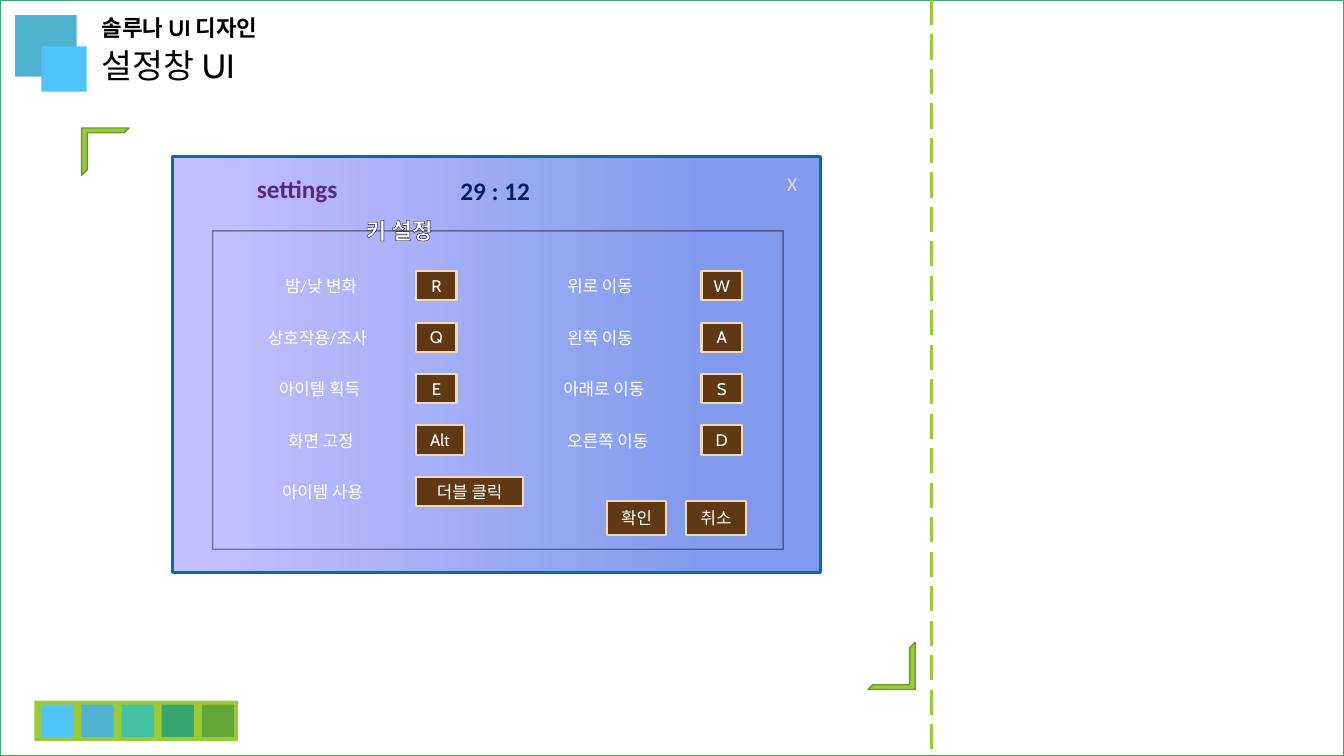
from dataclasses import dataclass
from lxml.etree import SubElement, fromstring
from pptx import Presentation
from pptx.dml.color import RGBColor
from pptx.enum.dml import MSO_LINE
from pptx.enum.shapes import MSO_CONNECTOR, MSO_SHAPE
from pptx.enum.text import MSO_ANCHOR, MSO_AUTO_SIZE, PP_ALIGN
from pptx.oxml.ns import nsdecls, qn
from pptx.util import Inches, Pt


@dataclass(frozen=True)
class Theme:
    """Colours, fonts and type sizes of the slide."""
    ink: str = "000000"
    paper: str = "FFFFFF"
    lime: str = "99CB38"
    lime_edge: str = "719629"
    sky: str = "51C3F9"
    lagoon: str = "4EB3CF"
    mint: str = "44C1A3"
    green: str = "37A76F"
    leaf: str = "63A537"
    panel_start: str = "BCB7FF"
    panel_end: str = "708DEA"
    panel_edge: str = "056EA0"
    purple: str = "5A2781"
    navy: str = "002060"
    close: str = "D9D9D9"
    key: str = "603813"
    key_edge: str = "EEDBB7"
    heading_font: str = "Cabin"
    body_font: str = "Calibri"
    title: int = 24
    panel_title: int = 18
    subtitle: int = 16
    close_size: int = 14
    body: int = 12


@dataclass(frozen=True)
class Box:
    """A region measured in grid cells."""
    left: float
    top: float
    width: float
    height: float

    def inner(self, left, top, width, height):
        """Return a box placed relative to this one."""
        return Box(self.left + left, self.top + top, width, height)

    def lengths(self):
        """Return left, top, width and height as slide lengths."""
        return [Inches(cells * CELL) for cells in (self.left, self.top, self.width, self.height)]


THEME = Theme()
CELL = 0.1
SLIDE = Box(0, 0, 133.33, 75)
ROW_PITCH = 5.1
KEY_COLUMNS = [
    (24.2, [("밤/낮 변화", 10.2, 11.8, "R", 4), ("상호작용/조사", 8.5, 15.8, "Q", 4),
            ("아이템 획득", 9.6, 12.7, "E", 4), ("화면 고정", 10.5, 11.8, "Alt", 4.7),
            ("아이템 사용", 9.9, 12, "더블 클릭", 10.6)]),
    (52.5, [("위로 이동", 38.2, 11.8, "W", 4), ("왼쪽 이동", 38.2, 15.8, "A", 4),
            ("아래로 이동", 37.8, 12.7, "S", 4), ("오른쪽 이동", 38.2, 11.8, "D", 4)]),
]


def apply(target, formats):
    """Set each attribute in formats on the target."""
    for name, value in formats.items():
        setattr(target, name, value)


def rgb(colour):
    """Turn a hex string into a colour."""
    return RGBColor.from_string(colour)


def fill_gradient(fill, angle, stops):
    """Fill with a linear gradient of (position, colour) stops."""
    fill.gradient()
    fill.gradient_angle = angle
    for stop, (position, colour) in zip(fill.gradient_stops, stops):
        stop.position = position
        stop.color.rgb = rgb(colour)


def set_alpha(element, percent):
    """Give every colour inside the element an opacity."""
    for colour in element.iter(qn("a:srgbClr")):
        SubElement(colour, qn("a:alpha")).set("val", str(percent * 1000))


def add_block(slide, box, fill=None, line=None, weight=1, kind=MSO_SHAPE.RECTANGLE):
    """Add a preset shape with an optional fill and outline."""
    shape = slide.shapes.add_shape(kind, *box.lengths())
    shape.shadow.inherit = False
    if fill:
        shape.fill.solid()
        shape.fill.fore_color.rgb = rgb(fill)
    else:
        shape.fill.background()
    if line:
        shape.line.color.rgb = rgb(line)
        shape.line.width = Pt(weight)
    else:
        shape.line.fill.background()
    return shape


def write(shape, text, size, font, colour, bold=False, align=PP_ALIGN.LEFT):
    """Write one styled line into a shape and return its run."""
    paragraph = shape.text_frame.paragraphs[0]
    paragraph.alignment = align
    run = paragraph.add_run()
    run.text = text
    apply(run.font, {"size": Pt(size), "name": font, "bold": bold})
    run.font.fill.solid()
    run.font.fill.fore_color.rgb = rgb(colour)
    return run


def add_label(slide, box, text, size, font, colour, bold=False, wrap=True, align=PP_ALIGN.LEFT):
    """Add a text box holding one line and return its run."""
    label = slide.shapes.add_textbox(*box.lengths())
    apply(label.text_frame, {"word_wrap": wrap, "auto_size": MSO_AUTO_SIZE.SHAPE_TO_FIT_TEXT})
    return write(label, text, size, font, colour, bold, align)


def add_text_shadow(run):
    """Cast a soft shadow under the letters of a run."""
    shadow = fromstring(
        f'<a:effectLst {nsdecls("a")}><a:outerShdw blurRad="38100" dist="19050" dir="2700000">'
        f'<a:srgbClr val="{THEME.ink}"><a:alpha val="40000"/></a:srgbClr></a:outerShdw></a:effectLst>')
    run.font._element.find(qn("a:latin")).addprevious(shadow)


def add_text_outline(run, colour, weight):
    """Draw an outline around the letters of a run."""
    outline = fromstring(
        f'<a:ln {nsdecls("a")} w="{Pt(weight)}"><a:solidFill><a:srgbClr val="{colour}"/></a:solidFill></a:ln>')
    run.font._element.insert(0, outline)


def add_key(slide, box, text):
    """Add a brown key button."""
    key = add_block(slide, box, THEME.key, THEME.key_edge, 1.5)
    apply(key.text_frame, {"vertical_anchor": MSO_ANCHOR.MIDDLE, "word_wrap": True})
    write(key, text, THEME.body, THEME.heading_font, THEME.paper, align=PP_ALIGN.CENTER)


def draw_frame(slide, box):
    """Draw the slide border, corner brackets and dashed divider."""
    add_block(slide, box, line=THEME.green)
    for left, top, rotation in ((8.1, 12.7, 0), (86.1, 63.7, 180)):
        bracket = add_block(slide, box.inner(left, top, 4.7, 4.7), THEME.lime,
                            THEME.lime_edge, kind=MSO_SHAPE.HALF_FRAME)
        bracket.rotation = rotation
        bracket.adjustments[0], bracket.adjustments[1] = 0.1, 0.12
    left, top, _, height = box.inner(92.4, 0, 0, box.height).lengths()
    divider = slide.shapes.add_connector(MSO_CONNECTOR.STRAIGHT, left, top, left, top + height)
    divider.line.color.rgb = rgb(THEME.lime)
    apply(divider.line, {"width": Pt(2.25), "dash_style": MSO_LINE.LONG_DASH})
    SubElement(divider._element.spPr, qn("a:effectLst"))


def draw_header(slide, box):
    """Draw the overlapping squares and the two title lines."""
    add_block(slide, box.inner(0, 0, 6.1, 6.1), THEME.lagoon)
    add_block(slide, box.inner(2.6, 3.1, 4.5, 4.5), THEME.sky)
    add_label(slide, box.inner(7.6, -0.6, 25.1, 3.7), "솔루나 UI 디자인",
              THEME.subtitle, THEME.heading_font, THEME.ink, bold=True)
    add_label(slide, box.inner(7.6, 2.5, 35.8, 5), "설정창 UI",
              THEME.title, THEME.heading_font, THEME.ink)


def draw_palette(slide, box):
    """Draw the strip of colour swatches."""
    add_block(slide, box, THEME.lime)
    swatches = (THEME.sky, THEME.lagoon, THEME.mint, THEME.green, THEME.leaf)
    for column, colour in enumerate(swatches):
        add_block(slide, box.inner(0.7 + 3.98 * column, 0.4, 3.2, 3.2), colour)


def draw_settings(slide, box):
    """Draw the settings window with its key bindings."""
    panel = add_block(slide, box, THEME.panel_start, THEME.panel_edge, 2.25)
    fill_gradient(panel.fill, 0, [(0.06, THEME.panel_start), (0.81, THEME.panel_end)])
    set_alpha(panel._element.spPr.find(qn("a:gradFill")), 87)
    group = add_block(slide, box.inner(4, 7.4, 56.6, 31.6), line=THEME.ink)
    set_alpha(group._element.spPr.find(qn("a:ln")), 40)
    for text, place, colour in (("settings", (7.4, 1.2, 14.4, 4), THEME.purple),
                                ("29 : 12", (27.6, 1.4, 10.3, 4), THEME.navy)):
        run = add_label(slide, box.inner(*place), text, THEME.panel_title,
                        THEME.body_font, colour, bold=True)
        fill_gradient(run.font.fill, 270, [(0, colour), (1, THEME.ink)])
        add_text_shadow(run)
    heading = add_label(slide, box.inner(18.2, 5.5, 9.3, 3.7), "키 설정", THEME.subtitle,
                        THEME.body_font, THEME.paper, bold=True, wrap=False)
    add_text_outline(heading, THEME.ink, 0.75)
    for key_left, bindings in KEY_COLUMNS:
        for row, (action, left, width, key, key_width) in enumerate(bindings):
            top = 11.4 + ROW_PITCH * row
            add_text_shadow(add_label(slide, box.inner(left, top, width, 3), action,
                                      THEME.body, THEME.body_font, THEME.paper))
            add_key(slide, box.inner(key_left, top, key_width, 2.9), key)
    for column, text in enumerate(("확인", "취소")):
        add_key(slide, box.inner(43.1 + 7.9 * column, 34.2, 5.9, 3.4), text)
    add_label(slide, box.inner(60, 1.1, 3, 3.4), "X", THEME.close_size,
              THEME.body_font, THEME.close)


def main():
    """Build the slide and save it."""
    presentation = Presentation()
    _, _, width, height = SLIDE.lengths()
    apply(presentation, {"slide_width": width, "slide_height": height})
    slide = presentation.slides.add_slide(presentation.slide_layouts[6])
    draw_frame(slide, SLIDE)
    draw_header(slide, SLIDE.inner(1.5, 1.5, 43, 7.6))
    draw_palette(slide, SLIDE.inner(3.4, 69.5, 20.2, 4))
    draw_settings(slide, SLIDE.inner(17.1, 15.5, 64.3, 41.3))
    presentation.save("out.pptx")


if __name__ == "__main__":
    main()
